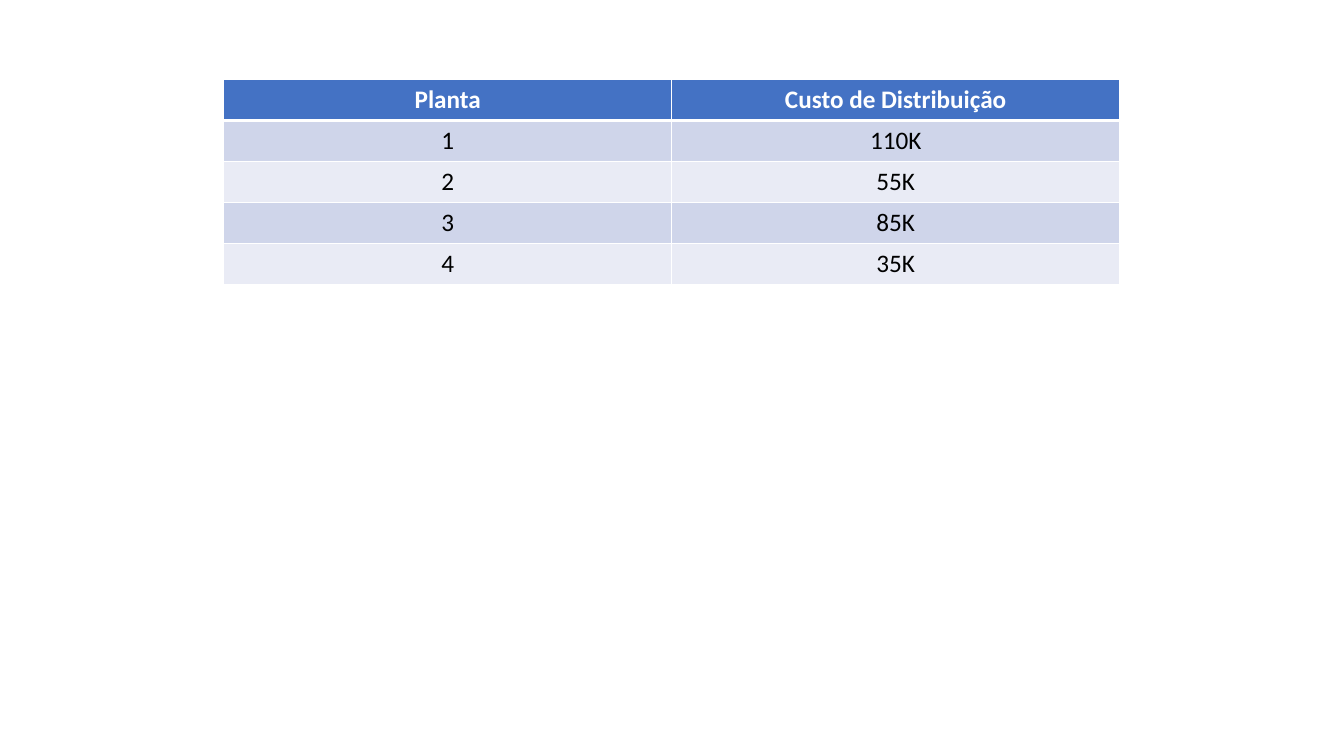
from pptx import Presentation as Deck
from pptx.dml.color import RGBColor as Rgb
from pptx.enum.text import MSO_ANCHOR as Anchor, PP_ALIGN as Align
from pptx.oxml import parse_xml as to_xml
from pptx.oxml.ns import nsdecls as decl
from pptx.util import Cm, Pt

HUES = {
    "head": "4472C4",
    "odd": "CFD5EA",
    "even": "E9EBF5",
    "white": "FFFFFF",
    "black": "000000",
}
COSTS = [
    ("Planta", "Custo de Distribuição"),
    ("1", "110K"),
    ("2", "55K"),
    ("3", "85K"),
    ("4", "35K"),
]
LEFT, TOP = Cm(5.64), Cm(2.01)
WIDE, HIGH = Cm(11.29), Cm(1.03)


def hue(name):
    return Rgb.from_string(HUES[name])


def set_edges(cell, top, base):
    """Draw white cell borders; top and base are widths in points."""
    props = cell._tc.get_or_add_tcPr()
    sides = {"L": 1, "R": 1, "T": top, "B": base}
    # Border lines must come before the fill
    for spot, (side, width) in enumerate(sides.items()):
        props.insert(spot, to_xml(
            f'<a:ln{side} {decl("a")} w="{Pt(width)}"><a:solidFill>'
            f'<a:srgbClr val="{HUES["white"]}"/></a:solidFill></a:ln{side}>'))


def fill_cell(cell, text, fill, ink, bold):
    cell.fill.solid()
    cell.fill.fore_color.rgb = hue(fill)
    cell.vertical_anchor = Anchor.TOP
    cell.text_frame.text = text
    para = cell.text_frame.paragraphs[0]
    para.alignment = Align.CENTER
    font = para.runs[0].font
    font.name, font.size, font.bold = "Calibri", Pt(18), bold
    font.color.rgb = hue(ink)


def add_grid(slide, rows):
    count, span = len(rows), len(rows[0])
    grid = slide.shapes.add_table(
        count, span, LEFT, TOP, WIDE * span, HIGH * count).table
    for col in grid.columns:
        col.width = WIDE
    for r, row in enumerate(rows):
        grid.rows[r].height = HIGH
        head = r == 0
        fill = "head" if head else "odd" if r % 2 else "even"
        for c, text in enumerate(row):
            cell = grid.cell(r, c)
            fill_cell(cell, text, fill, "white" if head else "black", head)
            # A thicker rule parts the header from the body
            set_edges(cell, 3 if r == 1 else 1, 3 if head else 1)


def main():
    deck = Deck()
    deck.slide_width, deck.slide_height = Cm(33.87), Cm(19.05)
    slide = deck.slides.add_slide(deck.slide_layouts[6])
    # Distribution cost by plant
    add_grid(slide, COSTS)
    deck.save("out.pptx")


main()
